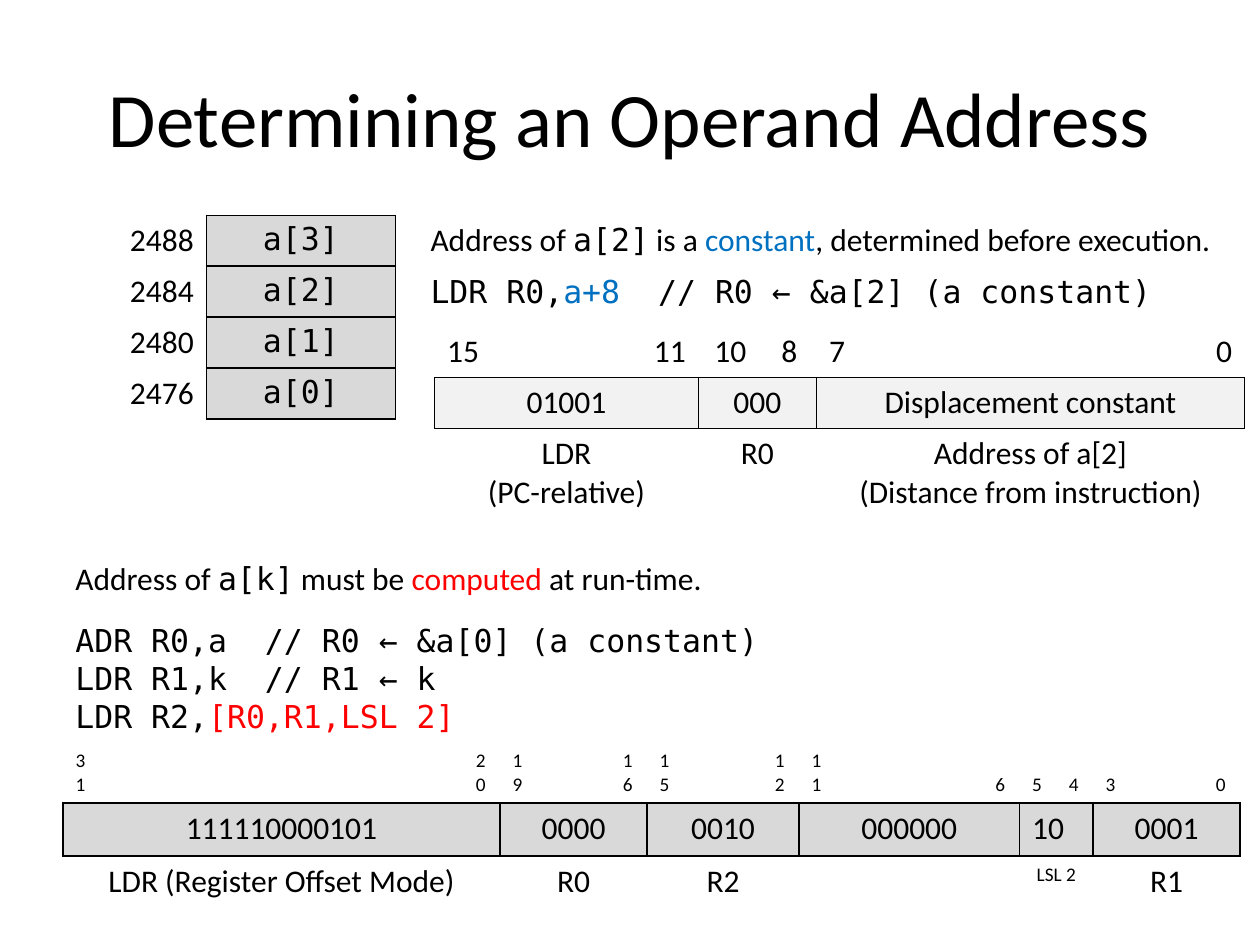
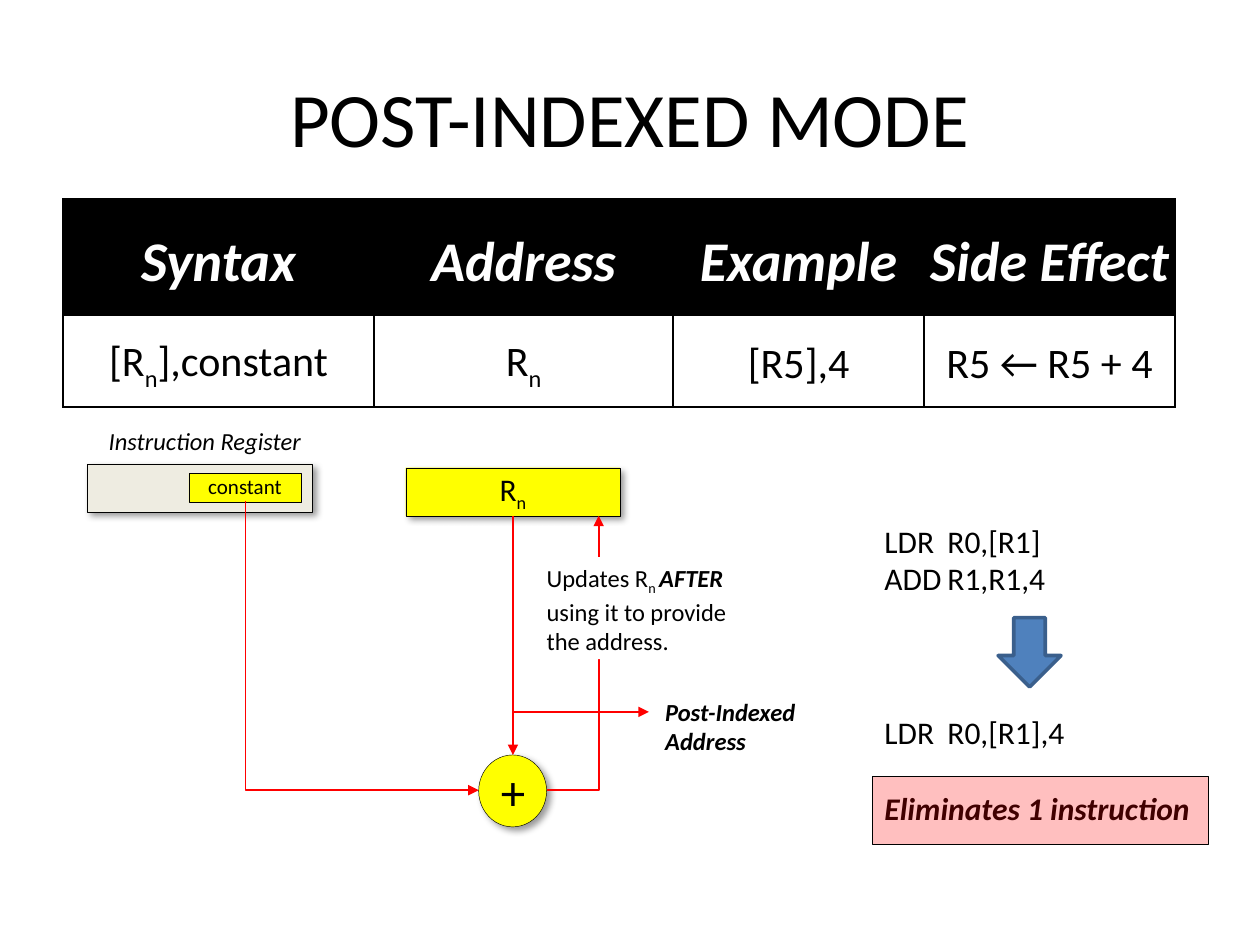
from dataclasses import dataclass

from lxml import etree
from pptx import Presentation
from pptx.dml.color import RGBColor
from pptx.enum.shapes import MSO_CONNECTOR, MSO_SHAPE
from pptx.enum.text import MSO_ANCHOR, PP_ALIGN
from pptx.oxml.ns import qn
from pptx.util import Cm, Pt

BLACK = RGBColor(0x00, 0x00, 0x00)
WHITE = RGBColor(0xFF, 0xFF, 0xFF)
BLUE = RGBColor(0x00, 0x70, 0xC0)
RED = RGBColor(0xFF, 0x00, 0x00)
YELLOW = RGBColor(0xFF, 0xFF, 0x00)
IVORY = RGBColor(0xEE, 0xEC, 0xE1)
GREY = RGBColor(0xD9, 0xD9, 0xD9)
PALE_GREY = RGBColor(0xF2, 0xF2, 0xF2)
ARROW_FILL = RGBColor(0x4F, 0x81, 0xBD)
ARROW_LINE = RGBColor(0x3A, 0x5F, 0x8C)
LEFT, CENTER, RIGHT = PP_ALIGN.LEFT, PP_ALIGN.CENTER, PP_ALIGN.RIGHT
TOP, MIDDLE, BOTTOM = MSO_ANCHOR.TOP, MSO_ANCHOR.MIDDLE, MSO_ANCHOR.BOTTOM
RECTANGLE, OVAL, DOWN_ARROW = MSO_SHAPE.RECTANGLE, MSO_SHAPE.OVAL, MSO_SHAPE.DOWN_ARROW
STRAIGHT, ELBOW = MSO_CONNECTOR.STRAIGHT, MSO_CONNECTOR.ELBOW
SANS, MONO = "Calibri", "DejaVu Sans Mono"
PLAIN_TABLE = "{2D5ABB26-0587-4C30-8999-92F81FD0307C}"
ALL_SIDES = "LRTB"
CODE = {"font": MONO}
SUB = {"sub": True}
STRONG = {"bold": True, "italic": True}


@dataclass
class Box:
    left: float
    top: float
    width: float
    height: float

    def inside(self, dx, dy, width, height):
        return Box(self.left + dx, self.top + dy, width, height)

    def point(self, dx, dy):
        return self.left + dx, self.top + dy

    def lengths(self):
        return [Cm(v) for v in (self.left, self.top, self.width, self.height)]


def add_span(para, text, size, font=SANS, color=BLACK, bold=False, italic=False, sub=False):
    span = para.add_run()
    span.text = text
    span.font.name = font
    span.font.size = Pt(size)
    span.font.bold = bold
    span.font.italic = italic
    span.font.color.rgb = color
    if sub:
        span._r.get_or_add_rPr().set("baseline", "-25000")


def write(frame, lines, size=18, align=LEFT, spacing=None, gaps=(), **style):
    for index, line in enumerate(lines):
        para = frame.paragraphs[0] if index == 0 else frame.add_paragraph()
        para.alignment = align
        if spacing:
            para.line_spacing = spacing
        if gaps and gaps[index]:
            para.space_before = Pt(gaps[index])
        for part in [line] if isinstance(line, str) else line:
            text, own = (part, {}) if isinstance(part, str) else part
            add_span(para, text, size, **{**style, **own})


def add_text(page, box, lines, anchor=TOP, **style):
    frame = page.shapes.add_textbox(*box.lengths()).text_frame
    frame.word_wrap = True
    frame.vertical_anchor = anchor
    write(frame, lines, **style)


def add_figure(page, box, fill, kind=RECTANGLE, line=BLACK, line_width=0.25,
               shadow=False, lines=(), anchor=MIDDLE, **style):
    shape = page.shapes.add_shape(kind, *box.lengths())
    shape.shadow.inherit = False
    shape.fill.solid()
    shape.fill.fore_color.rgb = fill
    if line is None:
        shape.line.fill.background()
    else:
        shape.line.color.rgb = line
        shape.line.width = Pt(line_width)
    if shadow:
        effects = shape._element.spPr.find(qn("a:effectLst"))
        outer = etree.SubElement(effects, qn("a:outerShdw"), blurRad=str(Pt(4)),
                                 dist=str(Pt(3)), dir="2700000", rotWithShape="0")
        tint = etree.SubElement(outer, qn("a:srgbClr"), val=str(BLACK))
        etree.SubElement(tint, qn("a:alpha"), val="40000")
    shape.text_frame.word_wrap = True
    shape.text_frame.vertical_anchor = anchor
    write(shape.text_frame, lines, **style)
    return shape


def add_arrow(page, start, end, kind=STRAIGHT):
    arrow = page.shapes.add_connector(kind, *[Cm(v) for v in (*start, *end)])
    arrow.line.color.rgb = RED
    arrow.line.width = Pt(1)
    etree.SubElement(arrow.line._get_or_add_ln(), qn("a:tailEnd"), type="triangle")
    etree.SubElement(arrow._element.spPr, qn("a:effectLst"))
    return arrow


def add_bent_arrow(page, start, end, down_first=False):
    if down_first:
        middle_x, middle_y = (start[0] + end[0]) / 2, (start[1] + end[1]) / 2
        half_x, half_y = (end[0] - start[0]) / 2, (end[1] - start[1]) / 2
        start = middle_x + half_y, middle_y - half_x
        end = middle_x - half_y, middle_y + half_x
    properties = add_arrow(page, start, end, ELBOW)._element.spPr
    properties.find(qn("a:prstGeom")).set("prst", "bentConnector2")
    if down_first:
        properties.find(qn("a:xfrm")).set("rot", str(270 * 60000))


def add_plain_table(page, box, widths, heights):
    table = page.shapes.add_table(len(heights), len(widths), *box.lengths()).table
    table._tbl.tblPr[0].text = PLAIN_TABLE
    table.first_row = table.horz_banding = False
    for column, width in zip(table.columns, widths):
        column.width = Cm(width)
    for row, height in zip(table.rows, heights):
        row.height = Cm(height)
    return table


def style_cell(cell, sides, fill=None):
    if fill is None:
        cell.fill.background()
    else:
        cell.fill.solid()
        cell.fill.fore_color.rgb = fill
    properties = cell._tc.get_or_add_tcPr()
    for index, side in enumerate(sides):
        edge = etree.Element(qn(f"a:ln{side}"), w=str(Pt(1)))
        paint = etree.SubElement(edge, qn("a:solidFill"))
        etree.SubElement(paint, qn("a:srgbClr"), val=str(BLACK))
        properties.insert(index, edge)


def add_title(page, text):
    add_text(page, Box(1.27, 0.76, 22.86, 3.18), [text], MIDDLE, size=44, align=CENTER)


def add_memory(page, box, cells):
    row_height = box.height / len(cells)
    table = add_plain_table(page, box, (2.97, 3.81), [row_height] * len(cells))
    for row, (address, name) in enumerate(cells):
        style_cell(table.cell(row, 0), "R")
        write(table.cell(row, 0).text_frame, [address], align=RIGHT)
        style_cell(table.cell(row, 1), ALL_SIDES, GREY)
        write(table.cell(row, 1).text_frame, [name], align=CENTER, font=MONO)


def add_encoding(page, box, widths, heights, bits, fields, fill, bit_size=18, bit_anchor=TOP):
    table = add_plain_table(page, box, widths, heights)
    for row, (sides, shade) in enumerate((("B", None), (ALL_SIDES, fill), ("T", None))):
        for column in range(len(widths)):
            style_cell(table.cell(row, column), sides, shade)
    for column, bit, align in bits:
        cell = table.cell(0, column)
        cell.vertical_anchor = bit_anchor
        write(cell.text_frame, [str(bit)], size=bit_size, align=align)
    column = 0
    for count, value, align, caption, caption_size in fields:
        last = column + count - 1
        table.cell(1, column).merge(table.cell(1, last))
        write(table.cell(1, column).text_frame, [value], align=align)
        if caption:
            table.cell(2, column).merge(table.cell(2, last))
            write(table.cell(2, column).text_frame, caption, size=caption_size, align=CENTER)
        column += count


def add_constant_encoding(page, box):
    labels = ((15, LEFT), (11, RIGHT), (10, CENTER), (8, CENTER), (7, LEFT), (0, RIGHT))
    bits = [(column, bit, align) for column, (bit, align) in enumerate(labels)]
    fields = [
        (2, "01001", CENTER, ["LDR", "(PC-relative)"], 18),
        (2, "000", CENTER, ["R0"], 18),
        (2, "Displacement constant", CENTER,
         ["Address of a[2]", "(Distance from instruction)"], 18),
    ]
    add_encoding(page, box, (2.79, 2.53, 1.29, 1.09, 3.2, 5.43), (1.03, 1.03, 1.8),
                 bits, fields, PALE_GREY)


def add_computed_encoding(page, box):
    odd_widths = {1: 0.66, 16: 0.84}
    regular = (box.width - sum(odd_widths.values())) / 30
    widths = [odd_widths.get(column, regular) for column in range(32)]
    bits = [(31 - bit, bit, LEFT) for bit in (31, 20, 19, 16, 15, 12, 6, 5, 4, 3, 0)]
    bits.append((20, 11, LEFT))
    fields = [
        (12, "111110000101", CENTER, ["LDR (Register Offset Mode)"], 18),
        (4, "0000", CENTER, ["R0"], 18),
        (4, "0010", CENTER, ["R2"], 18),
        (6, "000000", CENTER, None, 18),
        (2, "10", LEFT, ["LSL 2"], 11),
        (4, "0001", CENTER, ["R1"], 18),
    ]
    add_encoding(page, box, widths, (1.23, 1.07, 1.23), bits, fields, GREY, 11, BOTTOM)


def add_syntax_table(page, box):
    table = add_plain_table(page, box, (6.27, 6.03, 5.06, 5.06), (2.34, 1.85))
    headings = ["Syntax", "Address", "Example", "Side Effect"]
    values = [["[R", ("n", SUB), "],constant"], ["R", ("n", SUB)], "[R5],4", "R5 ← R5 + 4"]
    heading_style = {"size": 32, "color": WHITE, **STRONG}
    rows = ((headings, BLACK, 0.13, heading_style), (values, None, 0.1, {"size": 24}))
    for row, (entries, fill, margin, style) in enumerate(rows):
        for column, entry in enumerate(entries):
            cell = table.cell(row, column)
            style_cell(cell, ALL_SIDES, fill)
            cell.vertical_anchor = MIDDLE
            cell.margin_top = cell.margin_bottom = Cm(margin)
            cell.margin_left = cell.margin_right = Cm(0 if row == 0 and column > 1 else 0.13)
            write(cell.text_frame, [entry], align=CENTER, spacing=1.15, **style)


def add_register_diagram(page, box):
    add_figure(page, box.inside(6.63, 0.97, 4.32, 0.97), YELLOW, shadow=True,
               lines=[["R", ("n", SUB)]], align=CENTER)
    add_arrow(page, box.point(8.79, 1.94), box.point(8.79, 6.76))
    add_figure(page, box.inside(0.2, 0.89, 4.55, 0.97), IVORY, shadow=True)
    constant = add_figure(page, box.inside(2.26, 1.09, 2.26, 0.58), YELLOW, anchor=TOP)
    constant.text_frame.margin_top = constant.text_frame.margin_bottom = 0
    write(constant.text_frame, ["constant"], size=12, align=CENTER)
    add_text(page, box.inside(0, 0, 5.16, 0.97), ["Instruction Register"],
             size=14, align=CENTER, italic=True)
    add_arrow(page, box.point(8.81, 5.89), box.point(11.53, 5.89))
    add_text(page, box.inside(11.61, 5.46, 3.56, 1.45), ["Post-Indexed Address"],
             size=14, **STRONG)
    add_bent_arrow(page, box.point(3.4, 1.65), box.point(8.1, 7.47), down_first=True)
    add_figure(page, box.inside(8.1, 6.76, 1.37, 1.45), YELLOW, OVAL, shadow=True,
               lines=["+"], size=28, align=CENTER)
    add_bent_arrow(page, box.point(9.47, 7.47), box.point(10.52, 1.94))
    add_figure(page, box.inside(9.22, 2.77, 4.8, 2.06), WHITE, line=None, anchor=TOP,
               lines=[["Updates R", ("n ", SUB), ("AFTER", STRONG),
                       " using it to provide the address."]], size=14)


def add_saving(page, box):
    add_text(page, box, ["LDR\tR0,[R1]", "ADD\tR1,R1,4", "LDR\tR0,[R1],4",
                         [("Eliminates 1 instruction", STRONG)]], gaps=(0, 0, 66, 22))
    add_figure(page, box.inside(2.54, 2.06, 1.27, 1.4), ARROW_FILL, DOWN_ARROW, ARROW_LINE, 2)
    veil = add_figure(page, box.inside(0, 5.26, 6.78, 1.37), RED)
    tint = veil._element.spPr.find(qn("a:solidFill"))[0]
    etree.SubElement(tint, qn("a:alpha"), val="25000")


def build_operand_page(page):
    add_title(page, "Determining an Operand Address")
    add_text(page, Box(8.43, 4.32, 16.99, 1.02), [
        ["Address of ", ("a[2]", CODE), " is a ", ("constant", {"color": BLUE}),
         ", determined before execution."]])
    add_memory(page, Box(1.19, 4.34, 6.78, 4.11),
               [(str(2476 + 4 * index), f"a[{index}]") for index in (3, 2, 1, 0)])
    add_text(page, Box(1.27, 11.15, 15.09, 1.02), [
        ["Address of ", ("a[k]", CODE), " must be ", ("computed", {"color": RED}),
         " at run-time."]])
    add_text(page, Box(1.27, 12.4, 15.85, 2.57), [
        "ADR R0,a  // R0 ← &a[0] (a constant)",
        "LDR R1,k  // R1 ← k",
        ["LDR R2,", ("[R0,R1,LSL 2]", {"color": RED})]], font=MONO)
    add_text(page, Box(8.43, 5.36, 16.97, 1.02), [
        ["LDR R0,", ("a+8  ", {"color": BLUE}), "// R0 ← &a[2] (a constant)"]], font=MONO)
    add_constant_encoding(page, Box(8.76, 6.58, 16.33, 3.86))
    add_computed_encoding(page, Box(1.27, 14.96, 23.75, 3.53))


def build_post_indexed_page(page):
    add_title(page, "POST-INDEXED MODE")
    add_register_diagram(page, Box(1.55, 8.46, 15.17, 8.21))
    add_saving(page, Box(17.58, 10.39, 6.99, 6.4))
    add_syntax_table(page, Box(1.27, 4.01, 22.42, 4.19))


def main():
    deck = Presentation()
    deck.slide_width, deck.slide_height = Cm(25.4), Cm(19.05)
    for build in (build_operand_page, build_post_indexed_page):
        build(deck.slides.add_slide(deck.slide_layouts[6]))
    deck.save("out.pptx")


if __name__ == "__main__":
    main()
